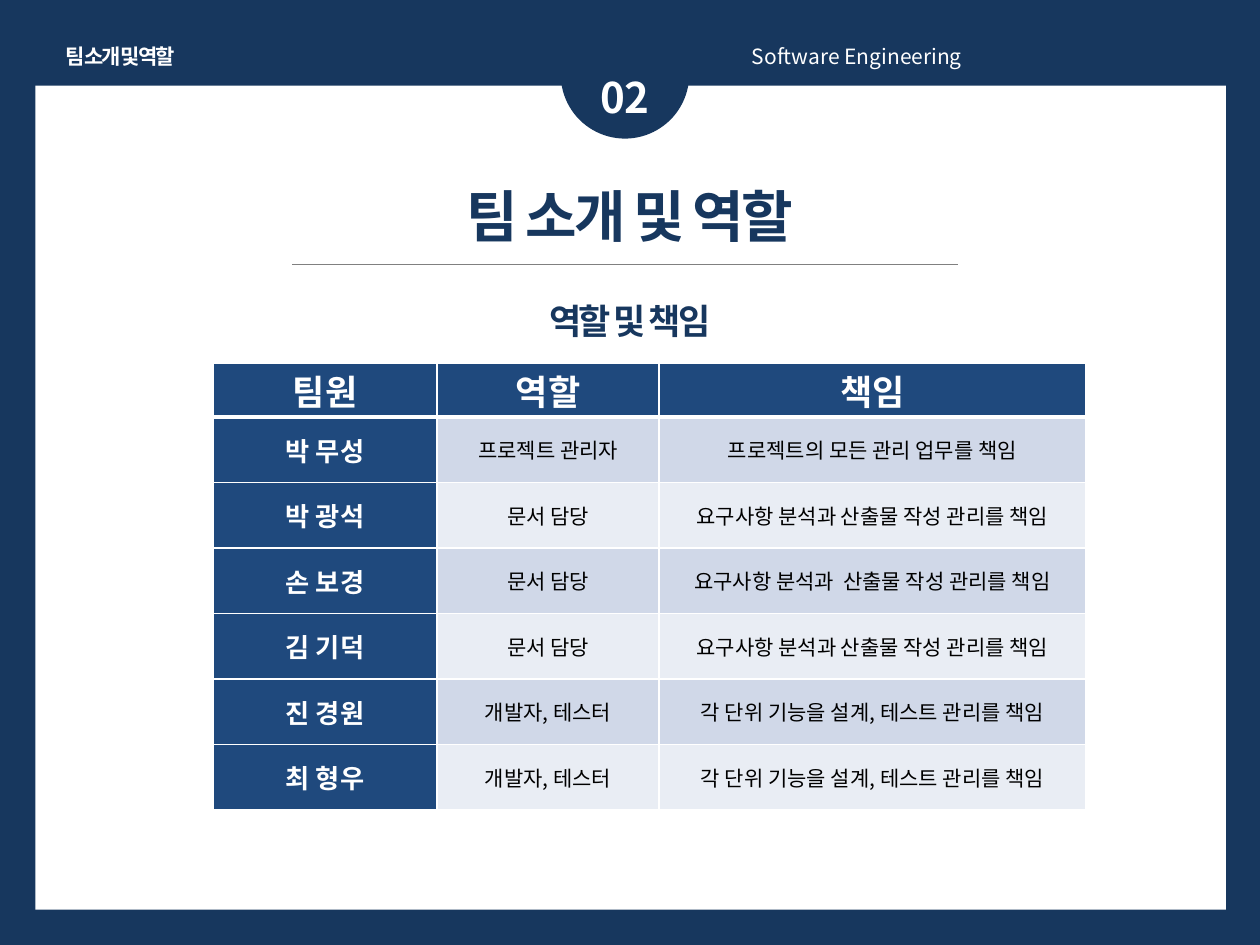
from lxml.etree import SubElement
from pptx import Presentation
from pptx.dml.color import RGBColor
from pptx.enum.shapes import MSO_CONNECTOR, MSO_SHAPE
from pptx.enum.text import MSO_ANCHOR, PP_ALIGN
from pptx.oxml.ns import qn
from pptx.util import Inches, Pt

FONT = "Noto Sans CJK KR"
COLORS = {
    "navy": "17375E",
    "blue": "1F497D",
    "odd_row": "D0D8E8",
    "even_row": "E9EDF4",
    "white": "FFFFFF",
    "black": "000000",
    "gray": "808080",
}
HEADINGS = ["팀원", "역할", "책임"]
MEMBERS = [
    ["박 무성", "프로젝트 관리자", "프로젝트의 모든 관리 업무를 책임"],
    ["박 광석", "문서 담당", "요구사항 분석과 산출물 작성 관리를 책임"],
    ["손 보경", "문서 담당", "요구사항 분석과  산출물 작성 관리를 책임"],
    ["김 기덕", "문서 담당", "요구사항 분석과 산출물 작성 관리를 책임"],
    ["진 경원", "개발자, 테스터", "각 단위 기능을 설계, 테스트 관리를 책임"],
    ["최 형우", "개발자, 테스터", "각 단위 기능을 설계, 테스트 관리를 책임"],
]
COLUMN_WIDTHS = [1.78, 1.76, 3.39]
HEADER_HEIGHT, ROW_HEIGHT = 0.43, 0.52


def rgb(name):
    """Return the named palette colour."""
    return RGBColor.from_string(COLORS[name])


def paint(fill, color):
    """Fill an area with one palette colour."""
    fill.solid()
    fill.fore_color.rgb = rgb(color)


def write(paragraph, text, size=12, color="white", bold=False,
          align=PP_ALIGN.CENTER, spacing=0, before=0):
    """Put formatted text into a paragraph."""
    paragraph.alignment = align
    paragraph.space_before = Pt(before)
    run = paragraph.add_run()
    run.text = text
    run.font.size = Pt(size)
    run.font.bold = bold
    run.font.name = FONT
    run.font.color.rgb = rgb(color)
    properties = run.font._element
    SubElement(properties, qn("a:ea")).set("typeface", FONT)
    if spacing:
        properties.set("spc", str(round(spacing * 100)))


def add_panel(slide, kind, box, color):
    """Add a plain borderless shape."""
    shape = slide.shapes.add_shape(kind, *map(Inches, box))
    shape.shadow.inherit = False
    paint(shape.fill, color)
    shape.line.fill.background()
    return shape


def add_label(slide, text, box, wrap=True, **text_format):
    """Add a one-line text box."""
    frame = slide.shapes.add_textbox(*map(Inches, box)).text_frame
    frame.word_wrap = wrap
    write(frame.paragraphs[0], text, **text_format)


def set_title(slide, title_text, subtitle_text, below):
    """Place the title and its subtitle in front of the given shape."""
    title = slide.shapes.title
    title.left, title.top, title.width, title.height = map(
        Inches, (2.64, 1.39, 4.72, 1.31))
    below._element.addnext(title._element)
    frame = title.text_frame
    frame.vertical_anchor = MSO_ANCHOR.TOP
    write(frame.paragraphs[0], title_text, size=32, color="navy", bold=True, spacing=-1.5)
    write(frame.add_paragraph(), subtitle_text, size=20, color="navy", bold=True,
          spacing=-1.5, before=29)


def add_rule(slide, left, right, top):
    """Draw the thin line under the title."""
    line = slide.shapes.add_connector(
        MSO_CONNECTOR.STRAIGHT, *map(Inches, (left, top, right, top)))
    line.line.color.rgb = rgb("gray")
    line.line.width = Pt(0.75)
    SubElement(line._element.spPr, qn("a:effectLst"))


def set_borders(cell, top=1, bottom=1):
    """Give a cell white borders, with widths in points."""
    properties = cell._tc.get_or_add_tcPr()
    for side, width in (("L", 1), ("R", 1), ("T", top), ("B", bottom)):
        border = SubElement(properties, qn(f"a:ln{side}"), w=str(Pt(width)))
        fill = SubElement(border, qn("a:solidFill"))
        SubElement(fill, qn("a:srgbClr"), val=COLORS["white"])


def format_cell(cell, text, row, column):
    """Fill and format a cell by its place in the table."""
    set_borders(cell, top=3 if row == 1 else 1, bottom=3 if row == 0 else 1)
    heading = row == 0 or column == 0
    band = "odd_row" if row % 2 else "even_row"
    paint(cell.fill, "blue" if heading else band)
    cell.vertical_anchor = MSO_ANCHOR.MIDDLE
    cell.margin_left = cell.margin_right = Inches(0.07)
    cell.margin_top = cell.margin_bottom = 0
    size = 20 if row == 0 else 15 if column == 0 else 12
    write(cell.text_frame.paragraphs[0], text, size=size, bold=heading,
          color="white" if heading else "black")


def add_roles_table(slide, left, top):
    """Add the table of members, roles and duties."""
    rows = [HEADINGS, *MEMBERS]
    heights = [HEADER_HEIGHT] + [ROW_HEIGHT] * len(MEMBERS)
    table = slide.shapes.add_table(
        len(rows), len(HEADINGS),
        *map(Inches, (left, top, sum(COLUMN_WIDTHS), sum(heights)))).table
    for column, width in zip(table.columns, COLUMN_WIDTHS):
        column.width = Inches(width)
    for row, height in zip(table.rows, heights):
        row.height = Inches(height)
    for row, texts in enumerate(rows):
        for column, text in enumerate(texts):
            format_cell(table.cell(row, column), text, row, column)


def main():
    """Build and save the team roles slide."""
    presentation = Presentation()
    presentation.slide_width, presentation.slide_height = Inches(10), Inches(7.5)
    slide = presentation.slides.add_slide(presentation.slide_layouts[5])
    paint(slide.background.fill, "navy")
    add_panel(slide, MSO_SHAPE.RECTANGLE, (0.28, 0.68, 9.45, 6.54), "white")
    badge = add_panel(slide, MSO_SHAPE.OVAL, (4.45, 0.08, 1.02, 1.02), "navy")
    add_label(slide, "Software Engineering", (5.87, 0.3, 3.94, 0.5), align=PP_ALIGN.JUSTIFY)
    set_title(slide, "팀 소개 및 역할", "역할 및 책임", below=badge)
    add_rule(slide, 2.32, 7.6, 2.1)
    add_roles_table(slide, 1.69, 2.88)
    add_label(slide, "팀 소개 및 역할", (0.36, 0.3, 1.19, 0.3), wrap=False, bold=True, spacing=-1.5)
    add_label(slide, "02", (4.37, 0.52, 1.18, 0.5), size=24, bold=True)
    presentation.save("out.pptx")


if __name__ == "__main__":
    main()
